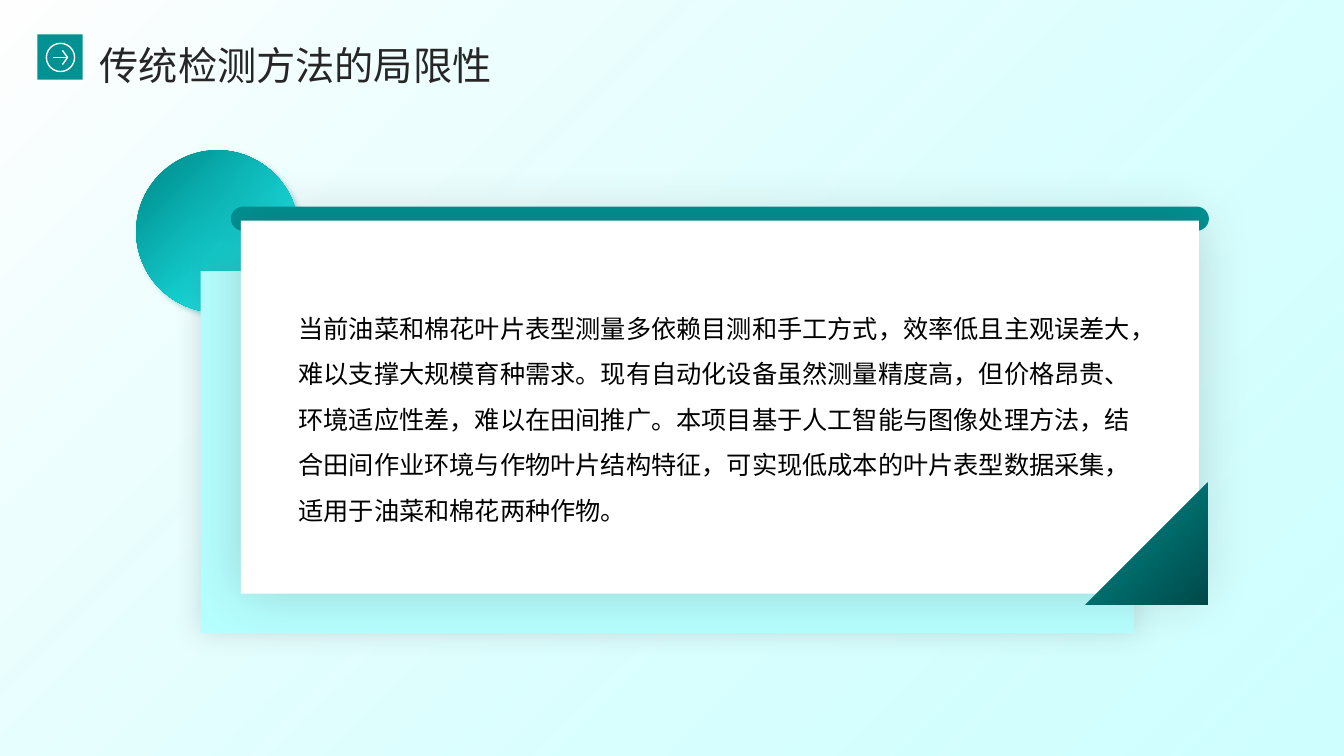
"""Build the slide on the limits of traditional inspection methods."""
from lxml.etree import SubElement
from pptx import Presentation
from pptx.dml.color import RGBColor
from pptx.enum.shapes import MSO_CONNECTOR, MSO_SHAPE
from pptx.oxml.ns import qn
from pptx.util import Inches, Pt

COLORS = {
    "white": "FFFFFF",
    "black": "000000",
    "title": "262626",
    "grey": "595959",
    "teal": "009192",
    "dark_teal": "004949",
    "aqua": "25FEFF",
    "pale_aqua": "B6FFFF",
}
FONT = "Noto Sans CJK SC"
BODY = (
    "当前油菜和棉花叶片表型测量多依赖目测和手工方式，效率低且主观误差大，"
    "难以支撑大规模育种需求。现有自动化设备虽然测量精度高，但价格昂贵、"
    "环境适应性差，难以在田间推广。本项目基于人工智能与图像处理方法，"
    "结合田间作业环境与作物叶片结构特征，可实现低成本的叶片表型数据采集，"
    "适用于油菜和棉花两种作物。"
)


def rgb(name):
    return RGBColor.from_string(COLORS[name])


def style(shape, *fills, start=0, shadow=None):
    shape.shadow.inherit = False
    shape.line.fill.background()
    if len(fills) == 1:
        shape.fill.solid()
        shape.fill.fore_color.rgb = rgb(fills[0])
    else:
        shape.fill.gradient()
        shape.fill.gradient_angle = 315
        for stop, name, position in zip(shape.fill.gradient_stops, fills, (start, 1)):
            stop.color.rgb = rgb(name)
            stop.position = position
    if shadow:
        name, opacity, blur, distance, angle = shadow
        effects = shape._element.spPr.find(qn("a:effectLst"))
        outer = SubElement(effects, qn("a:outerShdw"), blurRad=str(Pt(blur)),
                           dist=str(Pt(distance)), dir=str(angle * 60000),
                           algn="ctr", rotWithShape="0")
        color = SubElement(outer, qn("a:srgbClr"), val=COLORS[name])
        SubElement(color, qn("a:alpha"), val=str(opacity * 1000))


presentation = Presentation()
presentation.slide_width = Inches(13.33)
presentation.slide_height = Inches(7.5)
slide = presentation.slides.add_slide(presentation.slide_layouts[6])
shapes = slide.shapes

backdrop = shapes.add_shape(MSO_SHAPE.RECTANGLE, Inches(-0.01), Inches(-0.02),
                            Inches(13.35), Inches(7.54))
style(backdrop, "white", "pale_aqua")
last_color = list(backdrop._element.spPr.iter(qn("a:srgbClr")))[-1]
SubElement(last_color, qn("a:alpha"), val="65000")

circle = shapes.add_shape(MSO_SHAPE.OVAL, Inches(1.35), Inches(1.49), Inches(1.61), Inches(1.61))
style(circle, "teal", "aqua", start=0.09, shadow=("teal", 40, 4, 3, 45))

bar = shapes.add_shape(MSO_SHAPE.ROUNDED_RECTANGLE, Inches(2.29), Inches(2.05),
                       Inches(9.7), Inches(0.24))
bar.adjustments[0] = 0.5
style(bar, "teal")

back_card = shapes.add_shape(MSO_SHAPE.RECTANGLE, Inches(1.99), Inches(2.69),
                             Inches(9.26), Inches(3.59))
style(back_card, "pale_aqua", shadow=("grey", 20, 20, 0, 0))

card = shapes.add_shape(MSO_SHAPE.RECTANGLE, Inches(2.39), Inches(2.19), Inches(9.5), Inches(3.7))
style(card, "white", shadow=("title", 20, 40, 0, 0))

corner_builder = shapes.build_freeform(Inches(11.98), Inches(4.79))
corner_builder.add_line_segments([(Inches(11.98), Inches(6)), (Inches(10.77), Inches(6))])
style(corner_builder.convert_to_shape(), "teal", "dark_teal")

texts = [
    (2.96, 2.96, 8.26, 2.3, BODY, 18, 1.5, "black"),
    (0.99, 0.27, 11.35, 0.59, "传统检测方法的局限性", 28, 1.3, "title"),
]
for left, top, width, height, text, size, spacing, color in texts:
    box = shapes.add_textbox(Inches(left), Inches(top), Inches(width), Inches(height))
    frame = box.text_frame
    frame.word_wrap = True
    frame.margin_left = frame.margin_right = frame.margin_top = frame.margin_bottom = 0
    frame.text = text
    paragraph = frame.paragraphs[0]
    paragraph.line_spacing = spacing
    font = paragraph.runs[0].font
    font.name = FONT
    font.size = Pt(size)
    font.color.rgb = rgb(color)
    SubElement(font._element, qn("a:ea"), typeface=FONT)

badge = shapes.add_shape(MSO_SHAPE.RECTANGLE, Inches(0.37), Inches(0.34),
                         Inches(0.45), Inches(0.45))
style(badge, "teal")

icon = shapes.add_group_shape()
ring = icon.shapes.add_shape(MSO_SHAPE.OVAL, Inches(0.46), Inches(0.43),
                             Inches(0.28), Inches(0.28))
ring.shadow.inherit = False
ring.fill.background()
ring.line.color.rgb = rgb("white")
ring.line.width = Pt(1)

arrow_strokes = [(0.53, 0.57, 0.66, 0.57), (0.62, 0.64, 0.67, 0.57), (0.62, 0.5, 0.67, 0.57)]
for stroke in arrow_strokes:
    line = icon.shapes.add_connector(MSO_CONNECTOR.STRAIGHT, *map(Inches, stroke))
    line.line.color.rgb = rgb("white")
    line.line.width = Pt(1)
    SubElement(line._element.spPr, qn("a:effectLst"))

presentation.save("out.pptx")
